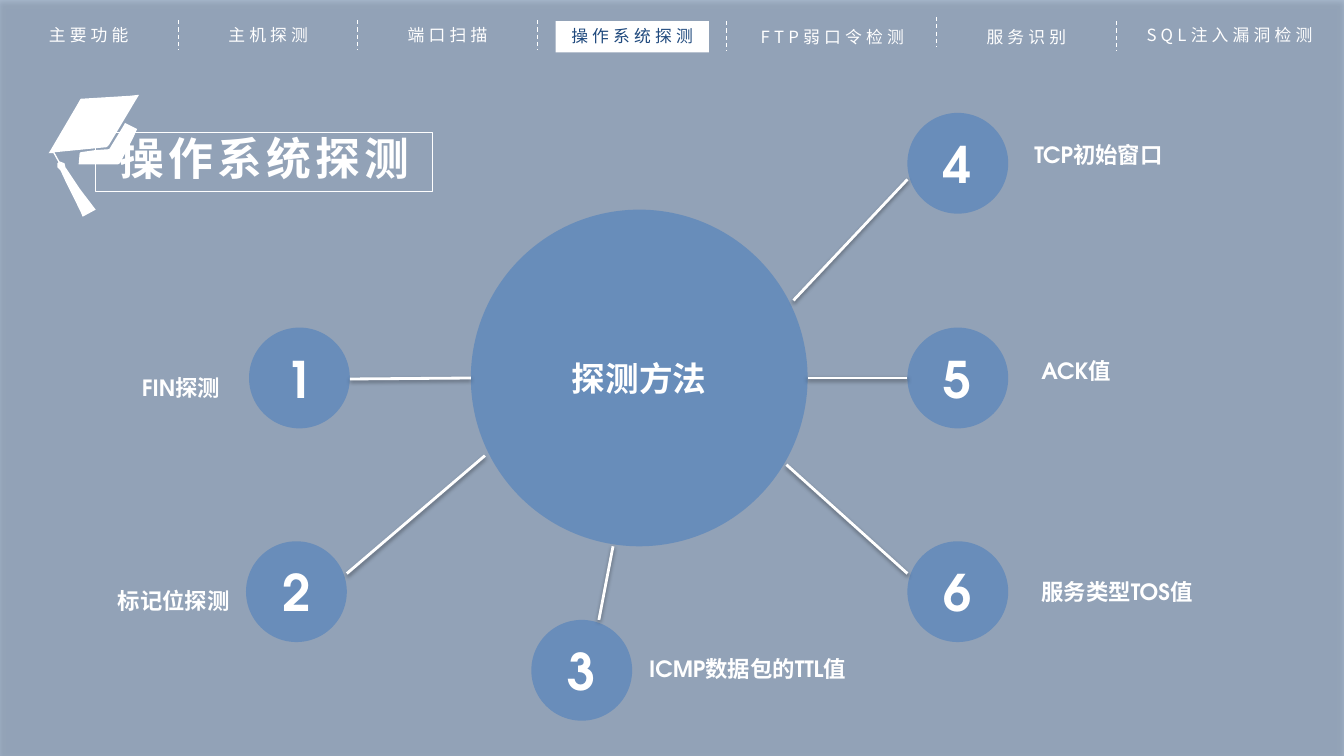
from dataclasses import dataclass

import pptx
import pptx.dml.color
import pptx.enum.dml
import pptx.enum.shapes
import pptx.enum.text
import pptx.oxml
import pptx.oxml.ns
import pptx.util
from lxml import etree

EMU_PER_PX = 9144  # 100 px to the inch
WHITE = "FFFFFF"
NAVY = "1F497D"
BLUE = "4F81BD"
CHINESE_FONT = "Noto Sans CJK SC"
LATIN_FONT = "TeX Gyre Adventor"
CIRCLE_SIZE = 100

Point = tuple[int, int]
Box = tuple[int, int, int, int]


@dataclass(frozen=True)
class TextStyle:
    size: int
    font: str = CHINESE_FONT
    color: str = WHITE
    bold: bool = True
    spacing: int = 0  # hundredths of a point
    centered: bool = True


@dataclass(frozen=True)
class Tab:
    text: str
    box: Box
    active: bool = False


@dataclass(frozen=True)
class Method:
    number: int
    circle: Point
    label: str
    label_at: Point
    line_from: Point
    line_to: Point


TAB = TextStyle(12, bold=False, spacing=300)
ACTIVE_TAB = TextStyle(12, color=NAVY, bold=False, spacing=300)
TITLE = TextStyle(32, spacing=300)
CENTER = TextStyle(24)
NUMBER = TextStyle(36, LATIN_FONT)
LABEL = TextStyle(16, LATIN_FONT, centered=False)

TABS = [
    Tab("主要功能", (18, 20, 140, 30)),
    Tab("主机探测", (195, 20, 142, 30)),
    Tab("端口扫描", (373, 20, 142, 30)),
    Tab("操作系统探测", (551, 21, 152, 31), active=True),
    Tab("FTP弱口令检测", (740, 22, 171, 30)),
    Tab("服务识别", (947, 22, 142, 30)),
    Tab("SQL注入漏洞检测", (1125, 20, 189, 30)),
]
TAB_DIVIDERS = [(177, 20), (355, 20), (533, 20), (721, 21), (929, 17), (1107, 21)]

METHODS = [
    Method(1, (247, 325), "FIN探测", (131, 366), (347, 376), (467, 375)),
    Method(2, (244, 537), "标记位探测", (107, 578), (344, 569), (481, 452)),
    Method(3, (527, 615), "ICMP数据包的TTL值", (634, 645), (608, 542), (594, 615)),
    Method(4, (900, 112), "TCP初始窗口", (1016, 135), (900, 178), (787, 298)),
    Method(5, (900, 325), "ACK值", (1023, 349), (900, 375), (801, 375)),
    Method(6, (900, 537), "服务类型TOS值", (1023, 569), (900, 569), (780, 461)),
]

CAP_BOARD = [
    (54, 151), (59, 160), (64, 162), (65, 166), (79, 187), (95, 208),
    (82, 215), (80, 210), (66, 182), (60, 169), (57, 166), (57, 162),
    (58, 161), (53, 152), (48, 152), (49, 151), (76, 105), (80, 98),
    (129, 95), (138, 94), (135, 99), (108, 144), (106, 146), (55, 151),
]
CAP_BASE = [
    (78, 163), (79, 152), (80, 151), (94, 149), (108, 148), (109, 147),
    (123, 124), (124, 122), (136, 128), (132, 137), (119, 162), (117, 163),
]


def px(length: int) -> pptx.util.Emu:
    return pptx.util.Emu(length * EMU_PER_PX)


def rgb(color: str) -> pptx.dml.color.RGBColor:
    return pptx.dml.color.RGBColor.from_string(color)


def fill_shape(shape, color: str, opacity: int = 100) -> None:
    shape.fill.solid()
    shape.fill.fore_color.rgb = rgb(color)
    if opacity < 100:
        clr = shape._element.spPr.find(".//" + pptx.oxml.ns.qn("a:srgbClr"))
        etree.SubElement(clr, pptx.oxml.ns.qn("a:alpha"), val=str(opacity * 1000))


def add_shadow(shape, opacity: int, distance: float) -> None:
    """Give the shape a soft black shadow straight below it."""
    properties = shape._element.spPr
    for effects in properties.findall(pptx.oxml.ns.qn("a:effectLst")):
        properties.remove(effects)
    properties.append(pptx.oxml.parse_xml(
        f'<a:effectLst {pptx.oxml.ns.nsdecls("a")}>'
        f'<a:outerShdw blurRad="{pptx.util.Pt(3.1)}" dist="{pptx.util.Pt(distance)}"'
        ' dir="5400000" rotWithShape="0"><a:srgbClr val="000000">'
        f'<a:alpha val="{opacity * 1000}"/></a:srgbClr></a:outerShdw></a:effectLst>'
    ))


def write_text(shape, text: str, style: TextStyle) -> None:
    paragraph = shape.text_frame.paragraphs[0]
    paragraph.text = text
    align = pptx.enum.text.PP_ALIGN
    paragraph.alignment = align.CENTER if style.centered else align.LEFT
    font = paragraph.font
    font.size = pptx.util.Pt(style.size)
    font.bold = style.bold
    font.color.rgb = rgb(style.color)
    font.name = style.font
    defaults = paragraph._p.find(".//" + pptx.oxml.ns.qn("a:defRPr"))
    defaults.set("spc", str(style.spacing))
    etree.SubElement(defaults, pptx.oxml.ns.qn("a:ea"), typeface=CHINESE_FONT)


def add_shape(slide, kind, box: Box, color: str, opacity: int):
    shape = slide.shapes.add_shape(kind, *map(px, box))
    shape.shadow.inherit = False
    shape.line.fill.background()
    fill_shape(shape, color, opacity)
    return shape


def add_circle(slide, box: Box, opacity: int, text: str, style: TextStyle) -> None:
    circle = add_shape(slide, pptx.enum.shapes.MSO_SHAPE.OVAL, box, BLUE, opacity)
    circle.text_frame.vertical_anchor = pptx.enum.text.MSO_ANCHOR.MIDDLE
    write_text(circle, text, style)


def add_text(slide, box: Box, text: str, style: TextStyle, wrap: bool = True):
    text_box = slide.shapes.add_textbox(*map(px, box))
    text_box.text_frame.word_wrap = wrap
    text_box.text_frame.auto_size = pptx.enum.text.MSO_AUTO_SIZE.SHAPE_TO_FIT_TEXT
    write_text(text_box, text, style)
    return text_box


def add_line(slide, start: Point, end: Point, width: float):
    line = slide.shapes.add_connector(
        pptx.enum.shapes.MSO_CONNECTOR.STRAIGHT, *map(px, start + end))
    line.line.color.rgb = rgb(WHITE)
    line.line.width = pptx.util.Pt(width)
    etree.SubElement(line._element.spPr, pptx.oxml.ns.qn("a:effectLst"))
    return line


def add_outline(slide, points: list[Point]) -> None:
    builder = slide.shapes.build_freeform(*points[0], scale=EMU_PER_PX)
    builder.add_line_segments(points[1:], close=True)
    shape = builder.convert_to_shape()
    shape.shadow.inherit = False
    shape.line.fill.background()
    fill_shape(shape, WHITE)


def main() -> None:
    presentation = pptx.Presentation()
    presentation.slide_width, presentation.slide_height = px(1333), px(750)
    slide = presentation.slides.add_slide(presentation.slide_layouts[6])

    backdrop = add_shape(
        slide, pptx.enum.shapes.MSO_SHAPE.RECTANGLE, (0, 0, 1333, 750), NAVY, 39)
    add_shadow(backdrop, 35, 1.8)

    for tab in TABS:
        tab_box = add_text(
            slide, tab.box, tab.text, ACTIVE_TAB if tab.active else TAB, wrap=False)
        if tab.active:
            fill_shape(tab_box, WHITE)
    for left, top in TAB_DIVIDERS:
        divider = add_line(slide, (left, top), (left, top + 30), 0.75)
        divider.line.dash_style = pptx.enum.dml.MSO_LINE.DASH

    add_circle(slide, (467, 208, 334, 334), 62, "探测方法", CENTER)
    for method in METHODS:
        circle_box = (*method.circle, CIRCLE_SIZE, CIRCLE_SIZE)
        add_circle(slide, circle_box, 61, str(method.number), NUMBER)
        add_text(slide, (*method.label_at, 238, 37), method.label, LABEL)
        add_shadow(add_line(slide, method.line_from, method.line_to, 2), 38, 1.6)

    title = add_text(slide, (95, 131, 334, 59), "操作系统探测", TITLE)
    title.text_frame.paragraphs[0].line_spacing = 0.9
    title.line.color.rgb = rgb(WHITE)
    title.line.width = pptx.util.Pt(0.75)
    for outline in (CAP_BOARD, CAP_BASE):
        add_outline(slide, outline)

    presentation.save("out.pptx")


if __name__ == "__main__":
    main()
